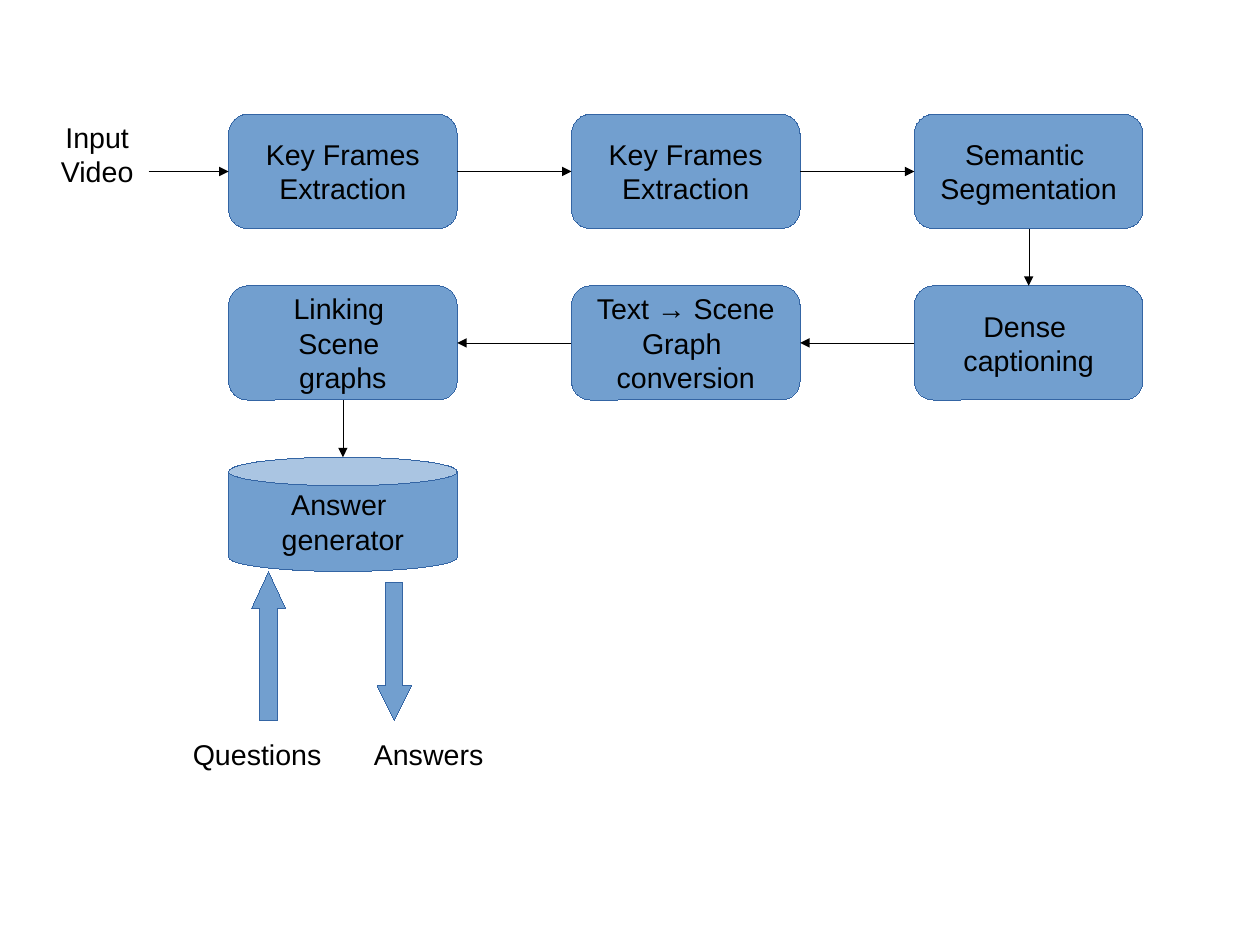
"""Draw the flow from input video to answer generator."""
from dataclasses import dataclass

from lxml.etree import SubElement
from pptx import Presentation
from pptx.dml.color import RGBColor
from pptx.enum.shapes import MSO_CONNECTOR, MSO_SHAPE
from pptx.enum.text import MSO_ANCHOR, MSO_AUTO_SIZE, PP_ALIGN
from pptx.oxml.ns import qn
from pptx.shapes.autoshape import Shape
from pptx.shapes.connector import Connector
from pptx.slide import Slide
from pptx.text.text import TextFrame
from pptx.util import Cm, Emu, Pt

ROUND, CAN = MSO_SHAPE.ROUNDED_RECTANGLE, MSO_SHAPE.CAN
UP, DOWN = MSO_SHAPE.UP_ARROW, MSO_SHAPE.DOWN_ARROW
LINE = MSO_CONNECTOR.STRAIGHT
CENTER, MIDDLE, TOP = PP_ALIGN.CENTER, MSO_ANCHOR.MIDDLE, MSO_ANCHOR.TOP
GROW, FIXED = MSO_AUTO_SIZE.SHAPE_TO_FIT_TEXT, MSO_AUTO_SIZE.NONE

BLUE = RGBColor(0x72, 0x9F, 0xCF)
EDGE = RGBColor(0x34, 0x65, 0xA4)
BLACK = RGBColor(0x00, 0x00, 0x00)

SCALE = 9144
WIDE, HIGH = 200, 100
LEFT, STEP = 200, 300
ROWS = (100, 250, 400)


@dataclass(frozen=True)
class Node:
    text: str
    col: int
    row: int
    kind: MSO_SHAPE = ROUND


@dataclass(frozen=True)
class Block:
    kind: MSO_SHAPE
    left: int
    top: int
    high: int
    head: float


@dataclass(frozen=True)
class Label:
    text: str
    left: int
    top: int
    wide: int
    high: int


NODES = (
    Node("Key Frames\nExtraction", 0, 0),
    Node("Key Frames\nExtraction", 1, 0),
    Node("Semantic \nSegmentation", 2, 0),
    Node("Dense \ncaptioning", 2, 1),
    Node("Text → Scene\nGraph \nconversion", 1, 1),
    Node("Linking \nScene \ngraphs", 0, 1),
    Node("Answer \ngenerator", 0, 2, CAN),
)
BLOCKS = (
    Block(UP, 220, 500, 130, 1.08),
    Block(DOWN, 330, 510, 120, 1.0),
)
LABELS = (
    Label("Input Video", 40, 100, 90, 100),
    Label("Questions", 140, 640, 170, 38),
    Label("Answers", 290, 640, 170, 38),
)


def px(*sizes: int) -> list[Emu]:
    return [Emu(size * SCALE) for size in sizes]


def write(frame: TextFrame, text: str, *, wrap: bool = False,
          anchor: MSO_ANCHOR = MIDDLE, fit: MSO_AUTO_SIZE = FIXED,
          size: int = 18, color: RGBColor = BLACK) -> None:
    frame.text = text
    frame.word_wrap = wrap
    frame.vertical_anchor = anchor
    frame.auto_size = fit
    for para in frame.paragraphs:
        para.alignment = CENTER
        for run in para.runs:
            run.font.name = "Arial"
            run.font.size = Pt(size)
            run.font.color.rgb = color


def outline(shape: Shape | Connector, color: RGBColor) -> None:
    shape.line.color.rgb = color
    shape.element.spPr.find(qn("a:ln")).set("w", "0")


def draw_shape(slide: Slide, kind: MSO_SHAPE, left: int, top: int,
               wide: int, high: int) -> Shape:
    shape = slide.shapes.add_shape(kind, *px(left, top, wide, high))
    shape.shadow.inherit = False
    shape.fill.solid()
    shape.fill.fore_color.rgb = BLUE
    outline(shape, EDGE)
    return shape


def draw_node(slide: Slide, node: Node) -> None:
    left, top = LEFT + node.col * STEP, ROWS[node.row]
    shape = draw_shape(slide, node.kind, left, top, WIDE, HIGH)
    write(shape.text_frame, node.text)


def draw_block(slide: Slide, block: Block) -> None:
    shape = draw_shape(slide, block.kind, block.left, block.top,
                       30, block.high)
    shape.adjustments[0] = 0.5
    shape.adjustments[1] = block.head


def draw_label(slide: Slide, label: Label) -> None:
    box = slide.shapes.add_textbox(
        *px(label.left, label.top, label.wide, label.high))
    write(box.text_frame, label.text, wrap=True, anchor=TOP, fit=GROW)


def draw_arrow(slide: Slide, start: tuple[int, int],
               end: tuple[int, int]) -> None:
    arrow = slide.shapes.add_connector(LINE, *px(*start, *end))
    outline(arrow, BLACK)
    props = arrow.element.spPr
    SubElement(props.find(qn("a:ln")), qn("a:tailEnd"), type="triangle")
    SubElement(props, qn("a:effectLst"))


def link(slide: Slide, first: Node, last: Node) -> None:
    mid = LEFT + WIDE // 2
    if first.row == last.row:
        side = 1 if last.col > first.col else -1
        y = ROWS[first.row] + HIGH // 2
        reach = side * WIDE // 2
        draw_arrow(slide, (mid + first.col * STEP + reach, y),
                   (mid + last.col * STEP - reach, y))
    else:
        x = mid + first.col * STEP
        draw_arrow(slide, (x, ROWS[first.row] + HIGH), (x, ROWS[last.row]))


def main() -> None:
    deck = Presentation()
    deck.slide_width, deck.slide_height = Cm(28), Cm(21)
    slide = deck.slides.add_slide(deck.slide_layouts[6])
    for node in NODES:
        draw_node(slide, node)
    draw_arrow(slide, (130, 150), (LEFT, 150))
    for first, last in zip(NODES, NODES[1:]):
        link(slide, first, last)
    for block in BLOCKS:
        draw_block(slide, block)
    for label in LABELS:
        draw_label(slide, label)
    deck.save("out.pptx")


if __name__ == "__main__":
    main()
